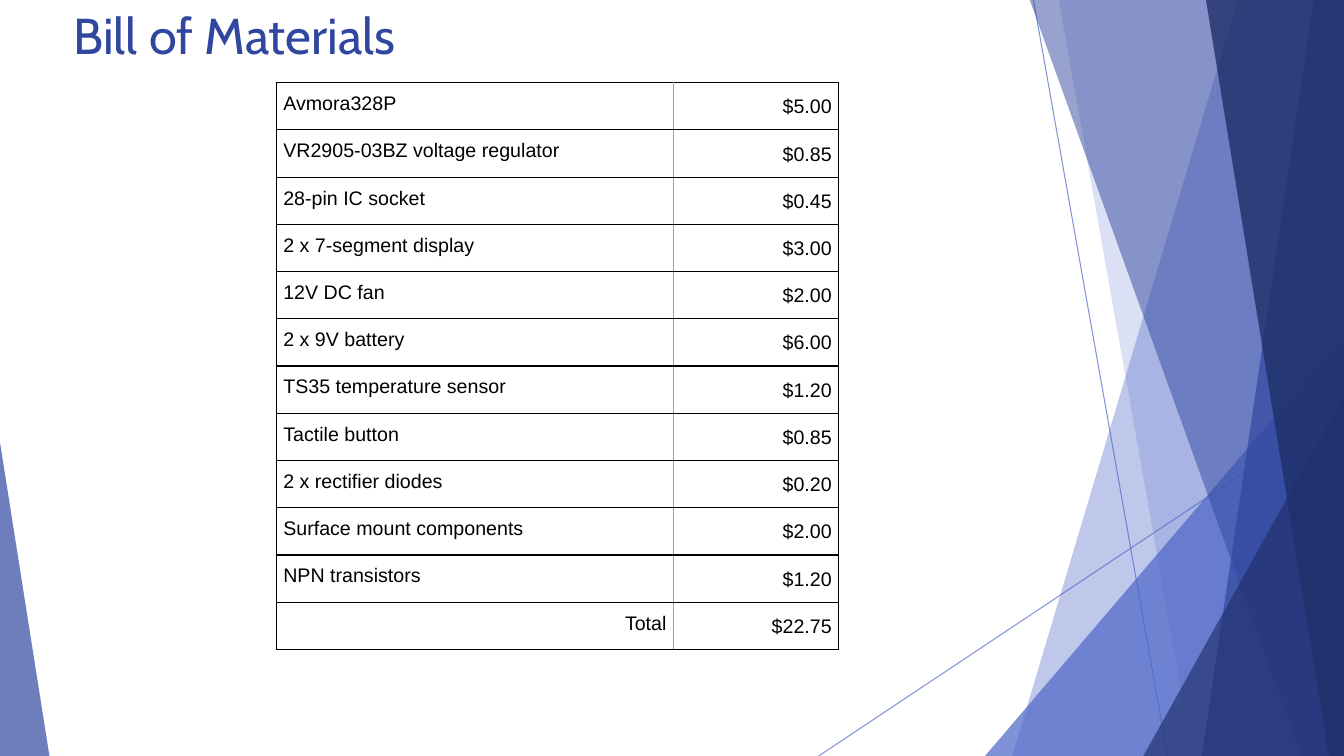
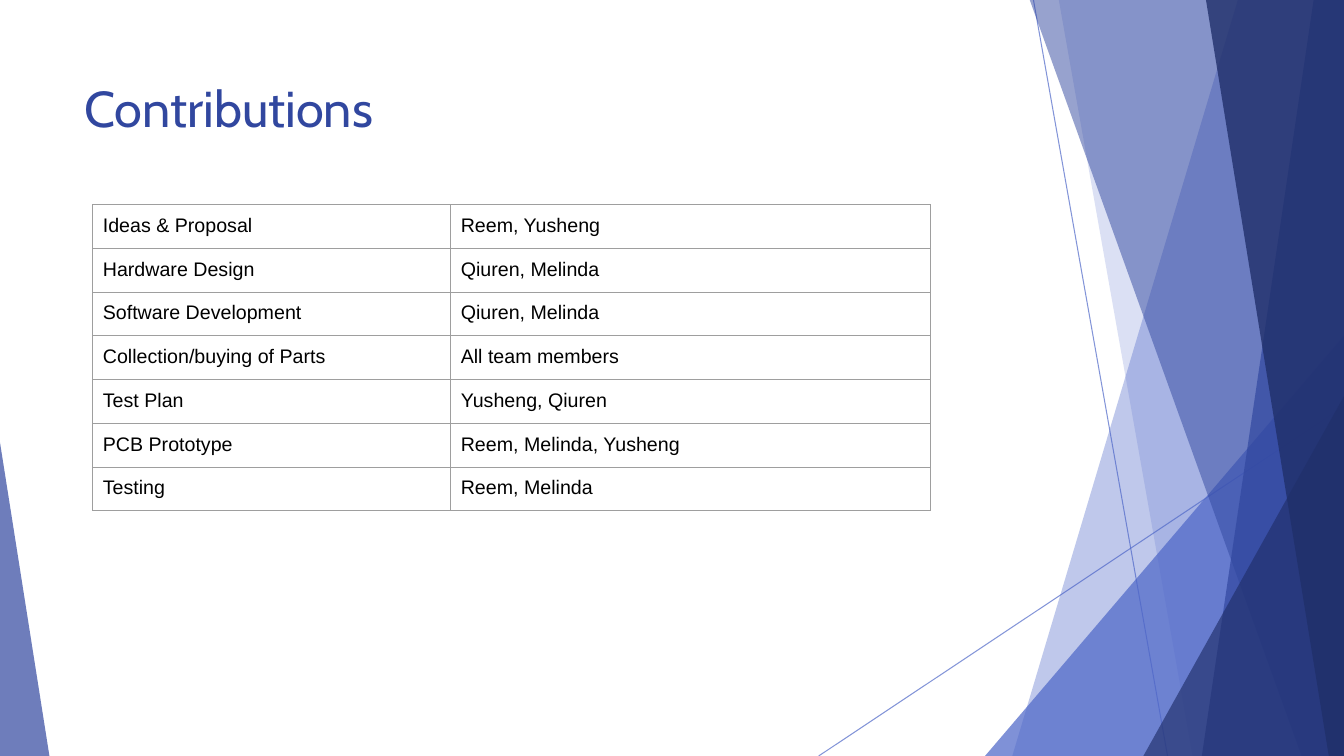
from pptx import Presentation
from pptx.dml.color import RGBColor
from pptx.enum.shapes import MSO_CONNECTOR, MSO_SHAPE
from pptx.enum.text import MSO_ANCHOR, PP_ALIGN
from pptx.oxml.ns import qn
from pptx.util import Inches, Pt
from lxml import etree

WIDTH, HEIGHT = 13.33, 7.5
BRIGHT = RGBColor(0x4E, 0x67, 0xC8)
BLUE = RGBColor(0x31, 0x47, 0x9F)
NAVY = RGBColor(0x20, 0x2F, 0x6A)
BLACK = RGBColor(0, 0, 0)
GREY = RGBColor(0x9E, 0x9E, 0x9E)
TITLE_FONT, BODY_FONT = "Cabin", "Arial"
LEFT, RIGHT = PP_ALIGN.LEFT, PP_ALIGN.RIGHT
TOP = MSO_ANCHOR.TOP
STRAIGHT = MSO_CONNECTOR.STRAIGHT
TRIANGLE = MSO_SHAPE.ISOSCELES_TRIANGLE

RAYS = [((10.25, 0), (11.58, HEIGHT)), ((WIDTH, 4.03), (8.12, HEIGHT))]
BACK_BANDS = [(12.28, 10.04, BRIGHT, 36), (10.5, 11.83, BRIGHT, 20)]
FRONT_BANDS = [(10.21, 12.91, BLUE, 50), (13.03, 11.92, BLUE, 70),
               (11.96, 13.18, NAVY, 80)]

PARTS = [
    ("Avmora328P", "$5.00"),
    ("VR2905-03BZ voltage regulator", "$0.85"),
    ("28-pin IC socket", "$0.45"),
    ("2 x 7-segment display", "$3.00"),
    ("12V DC fan", "$2.00"),
    ("2 x 9V battery", "$6.00"),
    ("TS35 temperature sensor", "$1.20"),
    ("Tactile button", "$0.85"),
    ("2 x rectifier diodes", "$0.20"),
    ("Surface mount components", "$2.00"),
    ("NPN transistors", "$1.20"),
    ("Total", "$22.75"),
]
TASKS = [
    ("Ideas & Proposal", "Reem, Yusheng"),
    ("Hardware Design", "Qiuren, Melinda"),
    ("Software Development", "Qiuren, Melinda"),
    ("Collection/buying of Parts", "All team members"),
    ("Test Plan", "Yusheng, Qiuren"),
    ("PCB Prototype", "Reem, Melinda, Yusheng"),
    ("Testing", "Reem, Melinda"),
]


def set_opacity(shape, percent):
    for colour in shape.element.spPr.iter(qn("a:srgbClr")):
        etree.SubElement(colour, qn("a:alpha"), val=str(percent * 1000))


def paint(shape, colour, opacity):
    shape.shadow.inherit = False
    shape.fill.solid()
    shape.fill.fore_color.rgb = colour
    shape.line.fill.background()
    set_opacity(shape, opacity)


def add_ray(page, start, end):
    ray = page.shapes.add_connector(
        STRAIGHT, *(Inches(value) for value in (*start, *end)))
    ray.line.color.rgb = BRIGHT
    ray.line.width = Pt(0.75)
    set_opacity(ray, 70)
    etree.SubElement(ray.element.spPr, qn("a:effectLst"))


def add_band(page, top_x, bottom_x, colour, opacity):
    top = -0.01
    builder = page.shapes.build_freeform(Inches(top_x), Inches(top))
    corners = [(WIDTH, top), (WIDTH, HEIGHT), (bottom_x, HEIGHT)]
    builder.add_line_segments([(Inches(x), Inches(y)) for x, y in corners])
    paint(builder.convert_to_shape(), colour, opacity)


def add_corner(page, left, top, width, apex, colour, opacity):
    corner = page.shapes.add_shape(
        TRIANGLE, Inches(left), Inches(top), Inches(width), Inches(HEIGHT - top))
    corner.adjustments[0] = apex
    paint(corner, colour, opacity)


def add_backdrop(page):
    for ray in RAYS:
        add_ray(page, *ray)
    for band in BACK_BANDS:
        add_band(page, *band)
    add_corner(page, 9.77, 3.33, 3.56, 1, BRIGHT, 72)
    for band in FRONT_BANDS:
        add_band(page, *band)
    add_corner(page, 11.34, 3.93, 1.99, 1, NAVY, 66)
    add_corner(page, 0, 4.39, 0.49, 0, BLUE, 70)


def write(frame, text, *, size, font, colour, align=LEFT, spacing=None):
    para = frame.paragraphs[0]
    para.alignment = align
    para.line_spacing = spacing
    span = para.add_run()
    span.text = text
    span.font.size = Pt(size)
    span.font.name = font
    span.font.color.rgb = colour


def add_title(page, text, left, top):
    box = page.shapes.add_textbox(
        Inches(left), Inches(top), Inches(9.4), Inches(1.44))
    frame = box.text_frame
    frame.word_wrap = True
    frame.vertical_anchor = TOP
    frame.margin_left = frame.margin_right = Inches(0.1)
    frame.margin_top = frame.margin_bottom = Inches(0.1)
    write(frame, text, size=36, font=TITLE_FONT, colour=BLUE)


def set_border(cell, side, colour, width):
    properties = cell._tc.get_or_add_tcPr()
    line = etree.SubElement(properties, qn(f"a:ln{side}"), w=str(Pt(width)))
    fill = etree.SubElement(line, qn("a:solidFill"))
    etree.SubElement(fill, qn("a:srgbClr"), val=str(colour))


def add_grid(page, rows, left, top, widths, row_height, *, margin, frame_line,
             aligns=(LEFT, LEFT), spacings=(None, None)):
    divider = (GREY, 0.75)
    grid = page.shapes.add_table(
        len(rows), len(widths), Inches(left), Inches(top),
        Inches(sum(widths)), Inches(row_height * len(rows))).table
    grid.first_row = grid.horz_banding = False
    for column, width in zip(grid.columns, widths):
        column.width = Inches(width)
    for row, texts in zip(grid.rows, rows):
        row.height = Inches(row_height)
        for index, (cell, text) in enumerate(zip(row.cells, texts)):
            cell.margin_left = cell.margin_right = Inches(margin)
            cell.margin_top = cell.margin_bottom = Inches(0.1)
            set_border(cell, "L", *(divider if index else frame_line))
            is_last = index == len(widths) - 1
            set_border(cell, "R", *(frame_line if is_last else divider))
            set_border(cell, "T", *frame_line)
            set_border(cell, "B", *frame_line)
            cell.fill.background()
            write(cell.text_frame, text, size=14, font=BODY_FONT, colour=BLACK,
                  align=aligns[index], spacing=spacings[index])
    return grid


def add_page(deck, title, left, top):
    page = deck.slides.add_slide(deck.slide_layouts[6])
    add_backdrop(page)
    add_title(page, title, left, top)
    return page


def main():
    deck = Presentation()
    deck.slide_width, deck.slide_height = Inches(WIDTH), Inches(HEIGHT)

    page = add_page(deck, "Bill of Materials", 0.63, -0.06)
    costs = add_grid(page, PARTS, 2.74, 0.82, (3.94, 1.64), 0.45, margin=0.07,
                     frame_line=(BLACK, 1), aligns=(LEFT, RIGHT),
                     spacings=(None, 1.15))
    total = costs.cell(len(PARTS) - 1, 0)
    total.text_frame.paragraphs[0].alignment = RIGHT

    page = add_page(deck, "Contributions", 0.74, 0.67)
    add_grid(page, TASKS, 0.92, 2.03, (3.55, 4.76), 0.42, margin=0.1,
             frame_line=(GREY, 0.75))

    deck.save("out.pptx")


if __name__ == "__main__":
    main()
